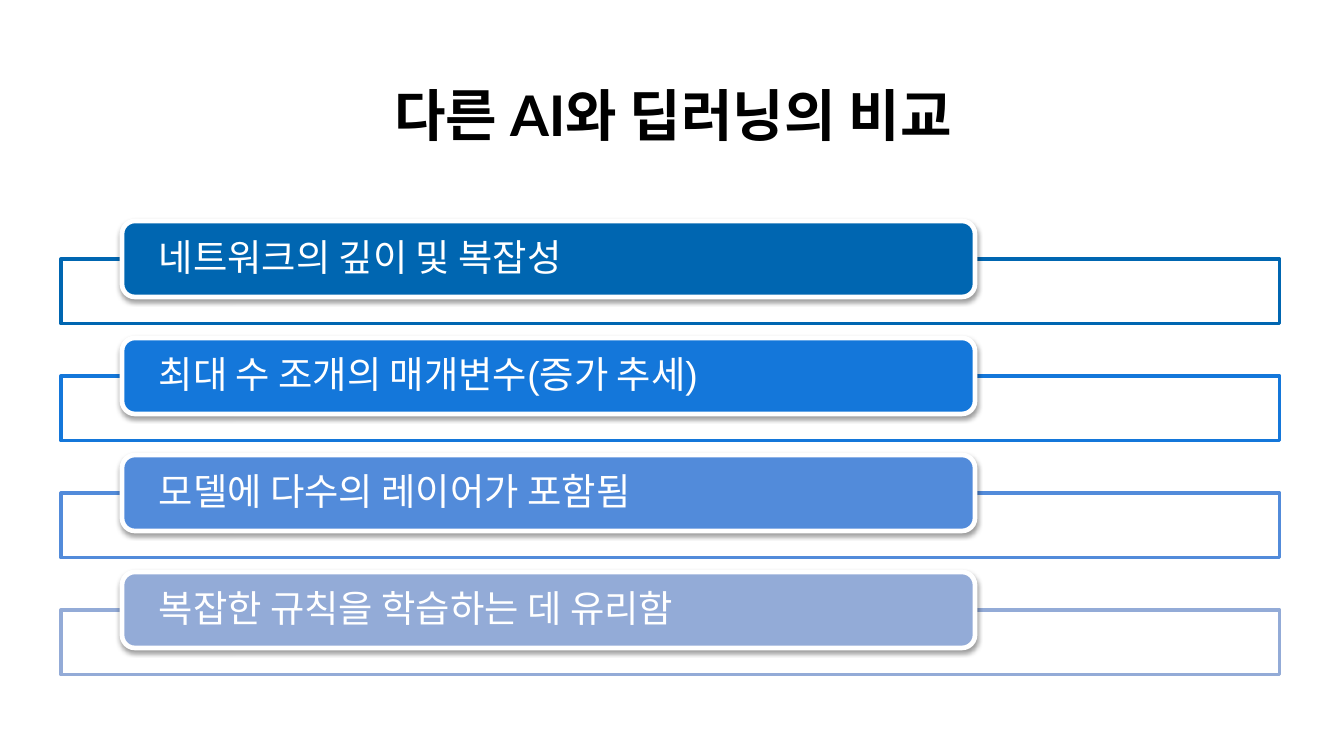
import dataclasses

import pptx
import pptx.dml.color
import pptx.enum.shapes
import pptx.enum.text
import pptx.oxml.ns
import pptx.util
from lxml import etree

RGB = pptx.dml.color.RGBColor
SHAPE = pptx.enum.shapes.MSO_SHAPE
ANCHOR = pptx.enum.text.MSO_ANCHOR
ALIGN = pptx.enum.text.PP_ALIGN
qn = pptx.oxml.ns.qn

BLACK = RGB(0x00, 0x00, 0x00)
WHITE = RGB(0xFF, 0xFF, 0xFF)
NAVY = RGB(0x00, 0x66, 0xB1)
BLUE = RGB(0x14, 0x77, 0xDA)
SKY = RGB(0x52, 0x8B, 0xDA)
PALE = RGB(0x93, 0xAB, 0xD7)

SCALE = 914400 / 112
TOP, PITCH = 221, 117


@dataclasses.dataclass
class Item:
    text: str
    color: RGB


ITEMS = [
    Item("네트워크의 깊이 및 복잡성", NAVY),
    Item("최대 수 조개의 매개변수(증가 추세)", BLUE),
    Item("모델에 다수의 레이어가 포함됨", SKY),
    Item("복잡한 규칙을 학습하는 데 유리함", PALE),
]


def px(count: int) -> int:
    return round(count * SCALE)


def write(shape, text: str, font: str, size: int, color: RGB,
          align: ALIGN, bold: bool = False) -> None:
    para = shape.text_frame.paragraphs[0]
    para.alignment = align
    para.line_spacing = 0.9
    run = para.add_run()
    run.text = text
    run.font.name = font
    run.font.size = pptx.util.Pt(size)
    run.font.bold = bold
    run.font.color.rgb = color


def add_box(shapes, kind: SHAPE, left: int, top: int, width: int, height: int,
            fill: RGB, line: RGB, weight: int):
    box = shapes.add_shape(kind, px(left), px(top), px(width), px(height))
    box.shadow.inherit = False
    box.fill.solid()
    box.fill.fore_color.rgb = fill
    box.line.color.rgb = line
    box.line.width = pptx.util.Pt(weight)
    return box


def fade(box, percent: int) -> None:
    """Set the opacity of a solid fill."""
    color = box._element.spPr.find(qn("a:solidFill"))[0]
    etree.SubElement(color, qn("a:alpha"), val=str(percent * 1000))


def cast(box) -> None:
    """Give the box a soft shadow straight below it."""
    effects = box._element.spPr.find(qn("a:effectLst"))
    shadow = etree.SubElement(
        effects, qn("a:outerShdw"), blurRad=str(pptx.util.Pt(3.1)),
        dist=str(pptx.util.Pt(1.6)), dir="5400000", rotWithShape="0")
    color = etree.SubElement(shadow, qn("a:srgbClr"), val=str(BLACK))
    etree.SubElement(color, qn("a:alpha"), val="38000")


def add_title(shapes, text: str) -> None:
    box = shapes.add_textbox(px(62), px(81), px(1222), px(73))
    box.text_frame.word_wrap = True
    box.text_frame.vertical_anchor = ANCHOR.BOTTOM
    write(box, text, "Lato", 36, BLACK, ALIGN.CENTER, bold=True)


def add_item(shapes, item: Item, top: int) -> None:
    frame = add_box(shapes, SHAPE.RECTANGLE, 61, top + 38, 1219, 65,
                    WHITE, item.color, 2)
    fade(frame, 90)
    card = add_box(shapes, SHAPE.ROUNDED_RECTANGLE, 122, top, 853, 76,
                   item.color, WHITE, 3)
    card.adjustments[0] = 0.17
    cast(card)
    body = card.text_frame
    body.word_wrap = True
    body.vertical_anchor = ANCHOR.MIDDLE
    body.margin_left = body.margin_right = px(33)
    body.margin_top = body.margin_bottom = 0
    write(card, item.text, "Arial", 24, WHITE, ALIGN.LEFT)


def main() -> None:
    deck = pptx.Presentation()
    deck.slide_width, deck.slide_height = px(1344), px(756)
    slide = deck.slides.add_slide(deck.slide_layouts[6])
    add_title(slide.shapes, "다른 AI와 딥러닝의 비교")
    group = slide.shapes.add_group_shape()
    for row, item in enumerate(ITEMS):
        add_item(group.shapes, item, TOP + row * PITCH)
    deck.save("out.pptx")


if __name__ == "__main__":
    main()
